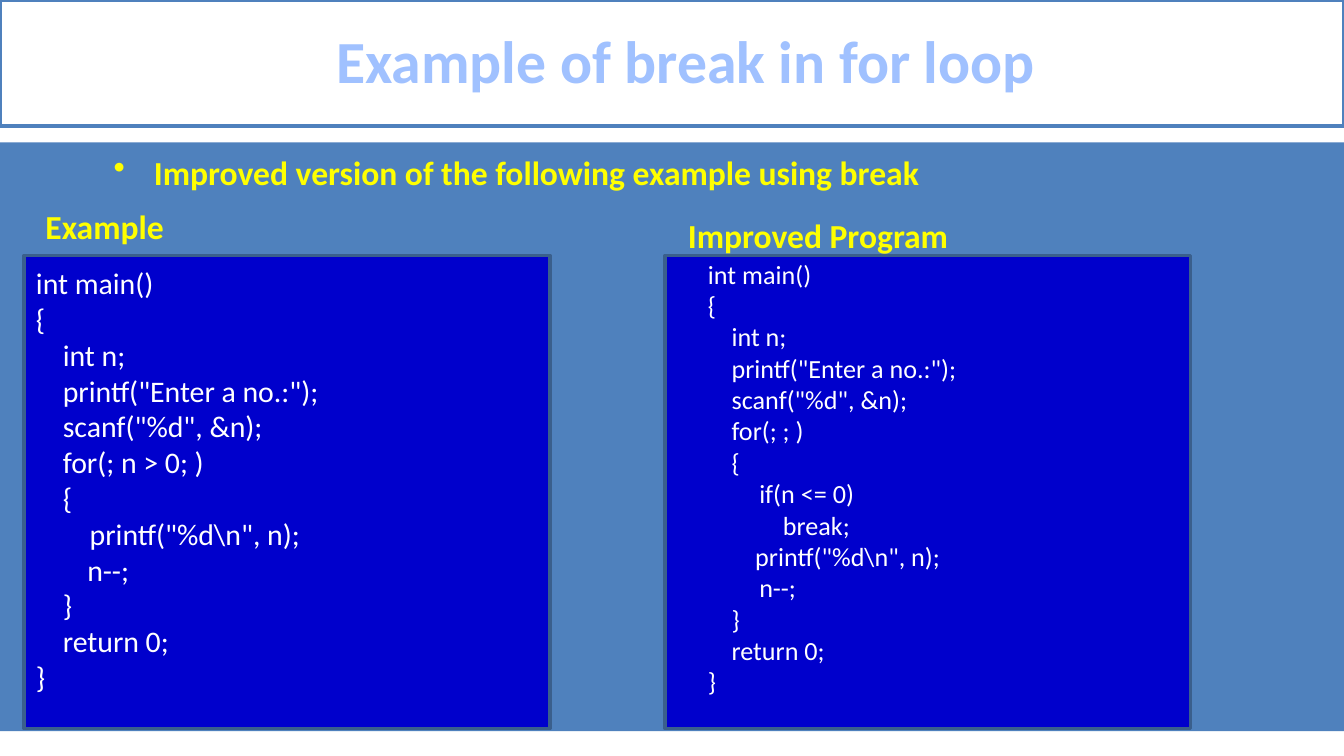
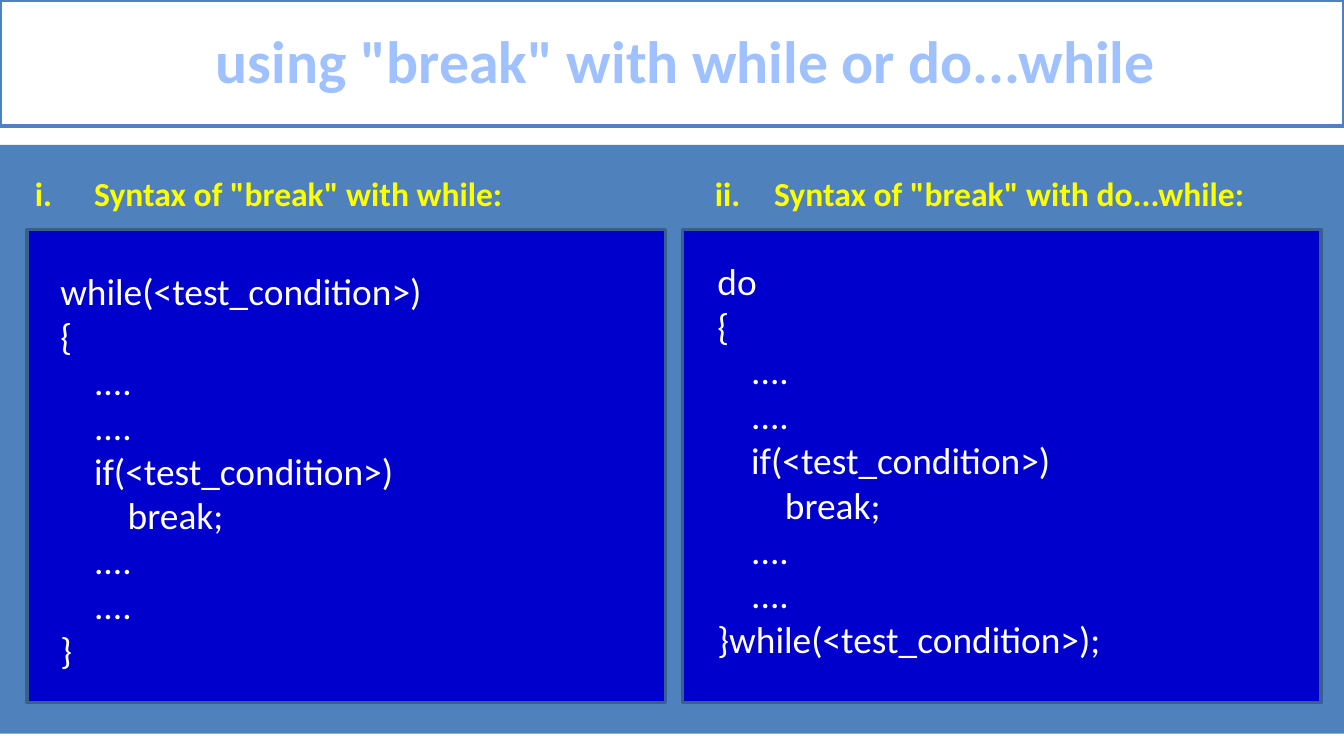
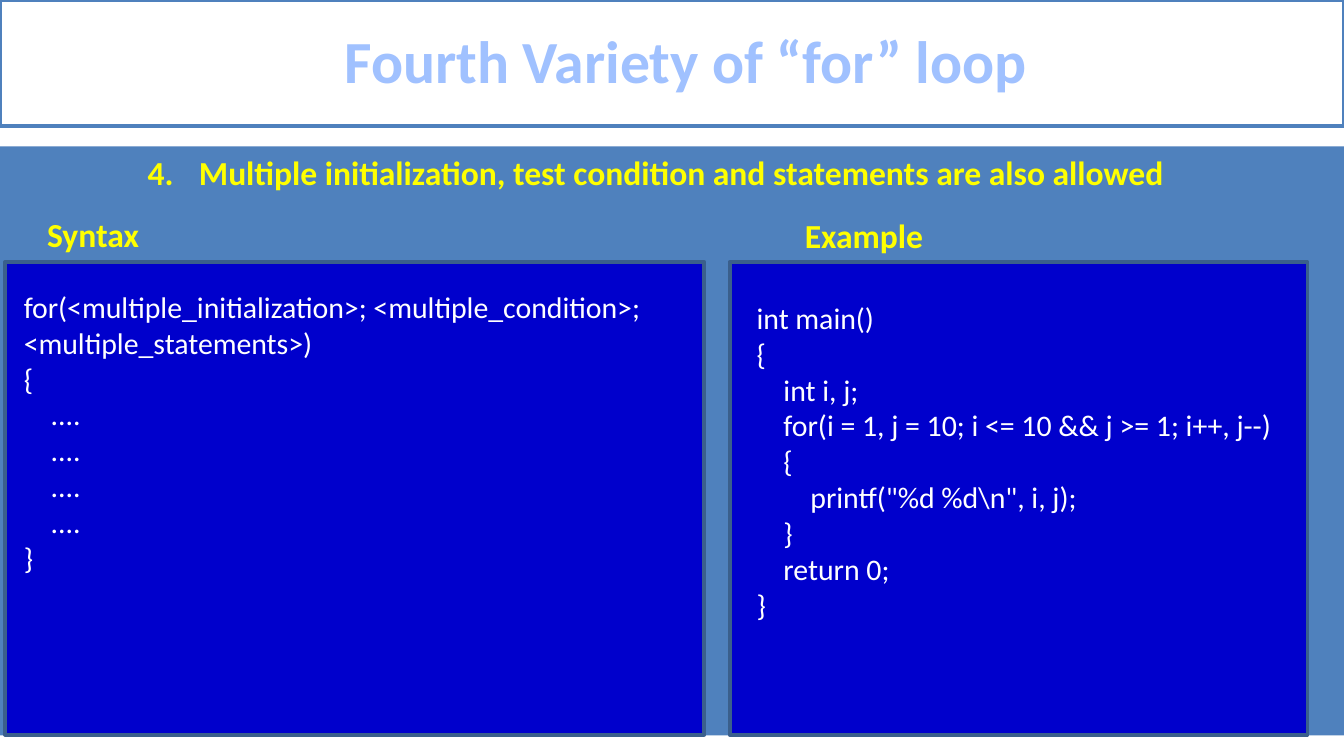
from lxml import etree
from pptx import Presentation
from pptx.dml.color import RGBColor
from pptx.enum.shapes import MSO_SHAPE
from pptx.enum.text import MSO_ANCHOR, PP_ALIGN
from pptx.oxml.ns import qn
from pptx.util import Cm, Pt

RECTANGLE = MSO_SHAPE.RECTANGLE
CENTER = PP_ALIGN.CENTER
MIDDLE = MSO_ANCHOR.MIDDLE

FONT = "Calibri"
BLUE, NAVY, NAVY_EDGE = "4F81BD", "0000CC", "3A5F8C"
WHITE, YELLOW, TITLE_BLUE = "FFFFFF", "FFFF00", "A0C1FF"
SLIDE_WIDTH, SLIDE_HEIGHT = 25.4, 14.29
TITLE_HEIGHT, BAND_HEIGHT, PANEL_HEIGHT = 2.39, 11.13, 8.94
HEADING_HEIGHT, HANGING = 1.02, 0.97

BULLET = ("buChar", {"char": "•"})
ROMAN_ONE = ("buAutoNum", {"type": "romanLcPeriod"})
ROMAN_TWO = ("buAutoNum", {"type": "romanLcPeriod", "startAt": "2"})
NUMBER_FOUR = ("buAutoNum", {"type": "arabicPeriod", "startAt": "4"})

BREAK_BODY = [
    "{",
    "    ....",
    "    ....",
    "    if(<test_condition>)",
    "        break;",
    "    ....",
    "    ....",
]
READ_NUMBER = [
    "int main()",
    "{",
    "    int n;",
    "    printf(\"Enter a no.:\");",
    "    scanf(\"%d\", &n);",
]
END_MAIN = ["    }", "    return 0;", "}"]

# headings: text, left, top, width, indent, marker
# panels: left, width, code left, code top, code size, code lines
SLIDES = [
    {
        "title": "Example of break in for loop",
        "band_top": 2.69,
        "panel_top": 4.83,
        "headings": [
            ("Improved version of the following example using break",
             1.9, 2.74, 22.8, 0.76, BULLET),
            ("Example", 0.61, 3.76, 5.56, 0, None),
            ("Improved Program", 12.75, 3.94, 5.56, 0, None),
        ],
        "panels": [
            (0.46, 9.93, 0.43, 4.88, 16, READ_NUMBER + [
                "    for(; n > 0; )",
                "    {",
                "        printf(\"%d\\n\", n);",
                "\tn--;",
            ] + END_MAIN),
            (12.57, 9.93, 13.13, 4.75, 14, READ_NUMBER + [
                "    for(; ; )",
                "    {",
                "\tif(n <= 0)",
                "\t    break;",
                "        printf(\"%d\\n\", n);",
                "\tn--;",
            ] + END_MAIN),
        ],
    },
    {
        "title": "using \"break\" with while or do...while",
        "band_top": 2.74,
        "panel_top": 4.34,
        "headings": [
            ("Syntax of \"break\" with while:", 0.41, 3.15, 10.77, 1.12, ROMAN_ONE),
            ("Syntax of \"break\" with do...while:", 13.26, 3.15, 11.86, 1.12, ROMAN_TWO),
        ],
        "panels": [
            (0.51, 12.07, 0.89, 4.95, 20,
             ["while(<test_condition>)"] + BREAK_BODY + ["}"]),
            (12.9, 12.07, 13.31, 4.75, 20,
             ["do"] + BREAK_BODY + ["}while(<test_condition>);"]),
        ],
    },
    {
        "title": "Fourth Variety of “for” loop",
        "band_top": 2.77,
        "panel_top": 4.95,
        "headings": [
            ("Multiple initialization, test condition and statements are also allowed",
             2.54, 2.74, 22.86, HANGING, NUMBER_FOUR),
            ("Syntax", 0.64, 3.91, 3, 0, None),
            ("Example", 14.96, 3.94, 3, 0, None),
        ],
        "panels": [
            (0.1, 13.21, 0.2, 5.33, 16, [
                "for(<multiple_initialization>; <multiple_condition>;",
                "<multiple_statements>)",
                "{",
            ] + ["    ...."] * 4 + ["}"]),
            (13.79, 10.92, 14.05, 5.54, 16, [
                "int main()",
                "{",
                "    int i, j;",
                "    for(i = 1, j = 10; i <= 10 && j >= 1; i++, j--)",
                "    {",
                "        printf(\"%d %d\\n\", i, j);",
            ] + END_MAIN),
        ],
    },
]


def color(value):
    return RGBColor.from_string(value)


def add_rectangle(slide, left, top, width, height, fill, line=None):
    shape = slide.shapes.add_shape(RECTANGLE, Cm(left), Cm(top), Cm(width), Cm(height))
    shape.shadow.inherit = False
    shape.fill.solid()
    shape.fill.fore_color.rgb = color(fill)
    if line:
        shape.line.color.rgb = color(line)
        shape.line.width = Pt(2)
    else:
        shape.line.fill.background()
    return shape


def style(paragraph, size, text_color, bold=False):
    font = paragraph.font
    font.name, font.size, font.bold = FONT, Pt(size), bold
    font.color.rgb = color(text_color)


def set_indent(paragraph, margin, first_line):
    properties = paragraph._p.get_or_add_pPr()
    properties.set("marL", str(Cm(margin)))
    properties.set("indent", str(Cm(first_line)))
    return properties


def add_text(slide, left, top, width, height, lines, size, text_color,
             bold=False, indent=0, marker=None):
    box = slide.shapes.add_textbox(Cm(left), Cm(top), Cm(width), Cm(height))
    frame = box.text_frame
    frame.word_wrap = True
    frame.text = "\n".join(lines)
    for paragraph in frame.paragraphs:
        properties = set_indent(paragraph, indent, -indent)
        if marker:
            tag, attributes = marker
            etree.SubElement(properties, qn(f"a:{tag}"), attributes)
        style(paragraph, size, text_color, bold)


def add_title(slide, text):
    shape = add_rectangle(slide, 0, 0, SLIDE_WIDTH, TITLE_HEIGHT, WHITE, BLUE)
    frame = shape.text_frame
    frame.vertical_anchor = MIDDLE
    frame.text = text
    paragraph = frame.paragraphs[0]
    set_indent(paragraph, 0.53, 0)
    paragraph.alignment = CENTER
    paragraph.line_spacing = 0.96
    style(paragraph, 32, TITLE_BLUE, True)


def add_panel(slide, panel_top, left, width, code_left, code_top, size, lines):
    add_rectangle(slide, left, panel_top, width, PANEL_HEIGHT, NAVY, NAVY_EDGE)
    code_width = left + width - code_left
    code_height = len(lines) * size * 1.2 * 2.54 / 72 + 0.25
    add_text(slide, code_left, code_top, code_width, code_height, lines, size, WHITE,
             indent=HANGING)


def main():
    presentation = Presentation()
    presentation.slide_width = Cm(SLIDE_WIDTH)
    presentation.slide_height = Cm(SLIDE_HEIGHT)
    for content in SLIDES:
        slide = presentation.slides.add_slide(presentation.slide_layouts[6])
        add_rectangle(slide, 0, content["band_top"], SLIDE_WIDTH, BAND_HEIGHT, BLUE)
        add_title(slide, content["title"])
        for panel in content["panels"]:
            add_panel(slide, content["panel_top"], *panel)
        for text, left, top, width, indent, marker in content["headings"]:
            add_text(slide, left, top, width, HEADING_HEIGHT, [text], 18, YELLOW,
                     True, indent, marker)
    presentation.save("out.pptx")


if __name__ == "__main__":
    main()
